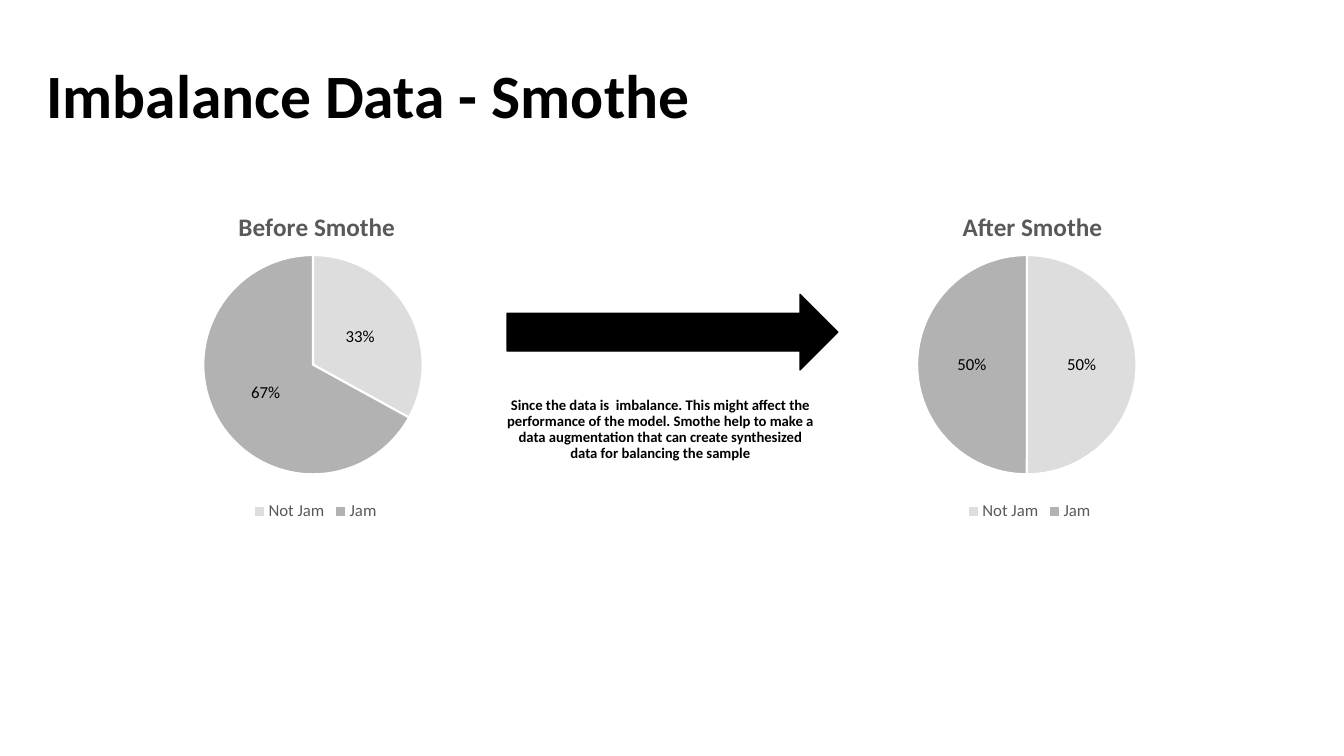
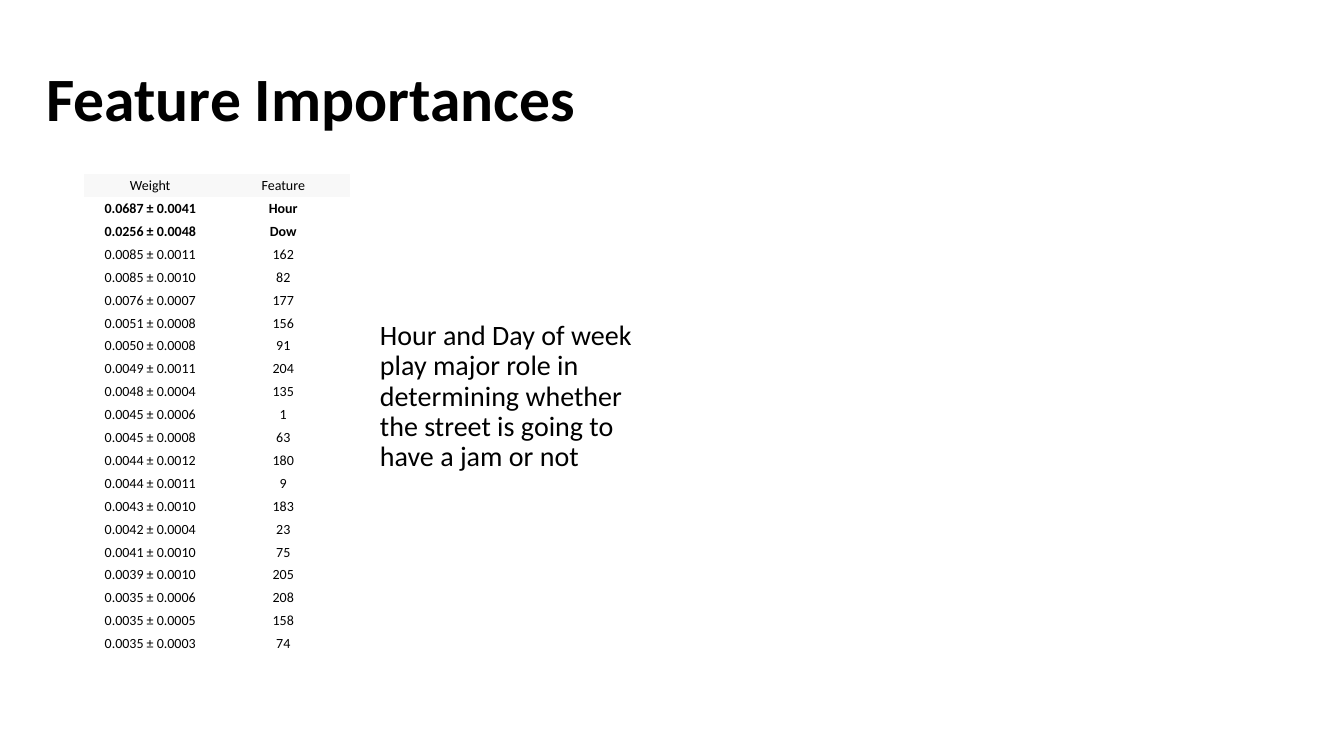
from dataclasses import dataclass
from typing import Any, NamedTuple

from lxml import etree
from pptx import Presentation
from pptx.chart.data import CategoryChartData
from pptx.dml.color import RGBColor
from pptx.enum.chart import XL_CHART_TYPE, XL_LABEL_POSITION, XL_LEGEND_POSITION
from pptx.enum.shapes import MSO_SHAPE
from pptx.enum.text import MSO_ANCHOR, PP_ALIGN
from pptx.oxml.ns import qn
from pptx.slide import Slide
from pptx.util import Inches, Pt

PIE = XL_CHART_TYPE.PIE
LABEL_CENTER = XL_LABEL_POSITION.CENTER
LEGEND_BOTTOM = XL_LEGEND_POSITION.BOTTOM
RIGHT_ARROW = MSO_SHAPE.RIGHT_ARROW
TOP, MIDDLE = MSO_ANCHOR.TOP, MSO_ANCHOR.MIDDLE
LEFT, CENTER = PP_ALIGN.LEFT, PP_ALIGN.CENTER
PLAIN_TABLE_STYLE = "{2D5ABB26-0587-4C30-8999-92F81FD0307C}"


@dataclass(frozen=True)
class Theme:
    font: str = "Calibri"
    ink: str = "000000"
    muted: str = "595959"
    paper: str = "FFFFFF"
    header: str = "F8F8F8"
    slices: tuple[str, ...] = ("DDDDDD", "B2B2B2")
    title_size: float = 44
    body_size: float = 20
    chart_title_size: float = 18
    label_size: float = 12
    note_size: float = 10.5
    table_size: float = 10


THEME = Theme()


class Area(NamedTuple):
    left: float
    top: float
    width: float
    height: float

    def lengths(self) -> list[Inches]:
        return [Inches(value) for value in self]


@dataclass(frozen=True)
class TextBlock:
    text: str
    area: Area
    size: float
    bold: bool = False
    align: PP_ALIGN = LEFT
    anchor: MSO_ANCHOR = TOP
    space_before: float = 0


@dataclass(frozen=True)
class PieChart:
    title: str
    left: float
    title_left: float
    values: tuple[int, int]


class Importance(NamedTuple):
    weight: str
    feature: str
    bold: bool = False


PIES = (
    PieChart("Before Smothe", 0.6, 0.34, (33, 67)),
    PieChart("After Smothe", 7.68, 0.36, (50, 50)),
)

IMPORTANCES = (
    Importance("0.0687 ± 0.0041", "Hour", True),
    Importance("0.0256 ± 0.0048", "Dow", True),
    Importance("0.0085 ± 0.0011", "162"),
    Importance("0.0085 ± 0.0010", "82"),
    Importance("0.0076 ± 0.0007", "177"),
    Importance("0.0051 ± 0.0008", "156"),
    Importance("0.0050 ± 0.0008", "91"),
    Importance("0.0049 ± 0.0011", "204"),
    Importance("0.0048 ± 0.0004", "135"),
    Importance("0.0045 ± 0.0006", "1"),
    Importance("0.0045 ± 0.0008", "63"),
    Importance("0.0044 ± 0.0012", "180"),
    Importance("0.0044 ± 0.0011", "9"),
    Importance("0.0043 ± 0.0010", "183"),
    Importance("0.0042 ± 0.0004", "23"),
    Importance("0.0041 ± 0.0010", "75"),
    Importance("0.0039 ± 0.0010", "205"),
    Importance("0.0035 ± 0.0006", "208"),
    Importance("0.0035 ± 0.0005", "158"),
    Importance("0.0035 ± 0.0003", "74"),
)


def apply_format(target: Any, values: dict[str, Any]) -> None:
    for name, value in values.items():
        setattr(target, name, value)


def style_font(font: Any, size: float, bold: bool = False, color: str = THEME.ink) -> None:
    apply_format(font, {"name": THEME.font, "size": Pt(size), "bold": bold})
    font.color.rgb = RGBColor.from_string(color)


def fill_solid(fill: Any, color: str) -> None:
    fill.solid()
    fill.fore_color.rgb = RGBColor.from_string(color)


def add_text(page: Slide, block: TextBlock) -> None:
    box = page.shapes.add_textbox(*block.area.lengths())
    apply_format(box.text_frame, {"word_wrap": True, "vertical_anchor": block.anchor})
    para = box.text_frame.paragraphs[0]
    apply_format(para, {
        "alignment": block.align,
        "line_spacing": 0.9,
        "space_before": Pt(block.space_before),
    })
    span = para.add_run()
    span.text = block.text
    style_font(span.font, block.size, block.bold)


def add_title(page: Slide, text: str, top: float) -> None:
    add_text(page, TextBlock(text, Area(0.36, top, 11.5, 0.81), THEME.title_size,
                             bold=True, anchor=MIDDLE))


def place_chart_part(part: Any, index: int, values: dict[str, str | float]) -> None:
    for old_layout in part.findall(qn("c:layout")):
        part.remove(old_layout)
    layout = etree.Element(qn("c:layout"))
    manual = etree.SubElement(layout, qn("c:manualLayout"))
    for name, value in values.items():
        etree.SubElement(manual, qn(f"c:{name}")).set("val", str(value))
    part.insert(index, layout)


def add_pie(page: Slide, pie: PieChart) -> None:
    data = CategoryChartData()
    data.categories = ["Not Jam", "Jam"]
    data.add_series("Series 1", pie.values)
    area = Area(pie.left, 1.86, 5.06, 3.35)
    chart = page.shapes.add_chart(PIE, *area.lengths(), data).chart
    style_font(chart.font, THEME.table_size)

    chart.has_title = True
    para = chart.chart_title.text_frame.paragraphs[0]
    span = para.add_run()
    span.text = pie.title
    style_font(span.font, THEME.chart_title_size, True, THEME.muted)

    chart.has_legend = True
    apply_format(chart.legend, {"position": LEGEND_BOTTOM, "include_in_layout": False})
    style_font(chart.legend.font, THEME.label_size, color=THEME.muted)

    plot = chart.plots[0]
    apply_format(plot, {"vary_by_categories": True, "has_data_labels": True})
    apply_format(plot.data_labels, {
        "show_percentage": True,
        "show_value": False,
        "number_format": "0%",
        "number_format_is_linked": False,
        "position": LABEL_CENTER,
    })
    style_font(plot.data_labels.font, THEME.label_size)
    for index, color in enumerate(THEME.slices):
        wedge = plot.series[0].points[index].format
        fill_solid(wedge.fill, color)
        fill_solid(wedge.line.fill, THEME.paper)
        wedge.line.width = Pt(1.5)

    root = chart.element
    place_chart_part(root.find(f".//{qn('c:title')}"), 1, {
        "xMode": "edge", "yMode": "edge", "x": pie.title_left, "y": 0.05,
    })
    place_chart_part(root.find(f".//{qn('c:plotArea')}"), 0, {
        "layoutTarget": "inner", "xMode": "edge", "yMode": "edge",
        "x": 0.28, "y": 0.2, "w": 0.43, "h": 0.65,
    })


def add_arrow(page: Slide, area: Area) -> None:
    arrow = page.shapes.add_shape(RIGHT_ARROW, *area.lengths())
    arrow.shadow.inherit = False
    fill_solid(arrow.fill, THEME.ink)
    fill_solid(arrow.line.fill, THEME.ink)
    arrow.line.width = Pt(1)


def fill_cell(cell: Any, text: str, bold: bool, color: str | None) -> None:
    apply_format(cell, {
        "vertical_anchor": MIDDLE,
        "margin_left": Inches(0.06),
        "margin_right": Inches(0.06),
        "margin_top": Inches(0.03),
        "margin_bottom": Inches(0.03),
    })
    if color:
        fill_solid(cell.fill, color)
    else:
        cell.fill.background()
    para = cell.text_frame.paragraphs[0]
    para.alignment = CENTER
    span = para.add_run()
    span.text = text
    style_font(span.font, THEME.table_size, bold)


def add_importance_table(page: Slide, area: Area) -> None:
    records = (Importance("Weight", "Feature"), *IMPORTANCES)
    frame = page.shapes.add_table(len(records), 2, *area.lengths())
    frame.element.find(f".//{qn('a:tableStyleId')}").text = PLAIN_TABLE_STYLE
    table = frame.table
    apply_format(table, {"first_row": False, "horz_banding": False})
    header_height = 0.21
    row_height = (area.height - header_height) / len(IMPORTANCES)
    for index, record in enumerate(records):
        is_header = index == 0
        table.rows[index].height = Inches(header_height if is_header else row_height)
        for column, text in enumerate((record.weight, record.feature)):
            fill_cell(table.cell(index, column), text, record.bold,
                      THEME.header if is_header else None)


def build_imbalance(page: Slide) -> None:
    add_title(page, "Imbalance Data - Smothe", 0.57)
    for pie in PIES:
        add_pie(page, pie)
    add_arrow(page, Area(5.03, 2.92, 3.28, 0.75))
    add_text(page, TextBlock(
        "Since the data is  imbalance. This might affect the performance of the model. "
        "Smothe help to make a data augmentation that can create synthesized data "
        "for balancing the sample",
        Area(4.91, 3.9, 3.28, 2.07), THEME.note_size,
        bold=True, align=CENTER, space_before=10))


def build_importances(page: Slide) -> None:
    add_title(page, "Feature Importances", 0.6)
    add_importance_table(page, Area(0.83, 1.73, 2.64, 4.76))
    add_text(page, TextBlock(
        "Hour and Day of week play major role in determining whether "
        "the street is going to have a jam or not",
        Area(3.67, 3.14, 3, 1.61), THEME.body_size, space_before=10))


def main() -> None:
    deck = Presentation()
    apply_format(deck, {"slide_width": Inches(13.33), "slide_height": Inches(7.5)})
    blank = deck.slide_layouts[6]
    for build in (build_imbalance, build_importances):
        page = deck.slides.add_slide(blank)
        fill_solid(page.background.fill, THEME.paper)
        build(page)
    deck.save("out.pptx")


if __name__ == "__main__":
    main()
